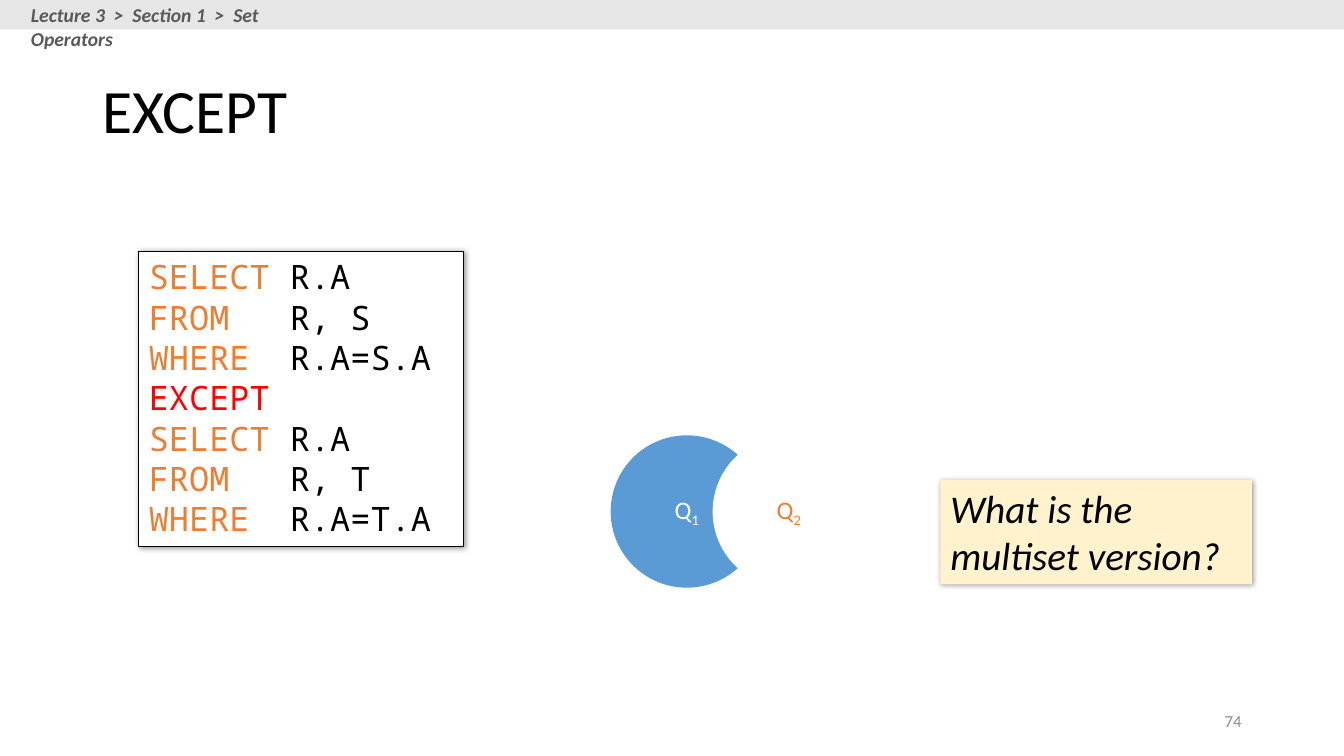
from lxml.etree import SubElement
from pptx import Presentation
from pptx.dml.color import RGBColor
from pptx.enum.shapes import MSO_SHAPE
from pptx.enum.text import MSO_ANCHOR, PP_ALIGN
from pptx.oxml.ns import qn
from pptx.util import Cm, Pt

# Content
HEADER = "Lecture 3  >  Section 1  >  Set Operators"
TITLE = "EXCEPT"
QUERY = [
    ("SELECT", " R.A"),
    ("FROM", "   R, S"),
    ("WHERE", "  R.A=S.A"),
    ("EXCEPT", ""),
    ("SELECT", " R.A"),
    ("FROM", "   R, T"),
    ("WHERE", "  R.A=T.A"),
]
SETS = [("1", "blue", "white"), ("2", "white", "orange")]
QUESTION = "What is the multiset version?"
PAGE = "74"

COLORS = {
    "black": "000000", "white": "FFFFFF", "orange": "ED7D31",
    "red": "FF0000", "blue": "5B9BD5", "cream": "FFF2CC",
    "band": "E7E6E6", "header": "595959", "page": "8C8C8C",
}
SANS, MONO = "Calibri", "Noto Sans Mono"

prs = Presentation()
prs.slide_width, prs.slide_height = Cm(33.87), Cm(19.05)
s = prs.slides.add_slide(prs.slide_layouts[6])


def rgb(name):
    return RGBColor.from_string(COLORS[name])


def add_run(p, text, size, color, font=SANS, bold=False, italic=False):
    r = p.add_run()
    r.text = text
    r.font.name, r.font.size = font, Pt(size)
    r.font.bold, r.font.italic = bold, italic
    r.font.color.rgb = rgb(color)
    return r


def set_frame(sp, anchor, align):
    tf = sp.text_frame
    tf.word_wrap = True
    tf.vertical_anchor = anchor
    tf.paragraphs[0].alignment = align
    return tf


def add_text(box, anchor=MSO_ANCHOR.TOP, align=PP_ALIGN.LEFT):
    sp = s.shapes.add_textbox(*map(Cm, box))
    return set_frame(sp, anchor, align)


def add_filled(kind, box, fill, line=None, anchor=MSO_ANCHOR.TOP,
               align=PP_ALIGN.LEFT, shadow=False):
    sp = s.shapes.add_shape(kind, *map(Cm, box))
    sp.fill.solid()
    sp.fill.fore_color.rgb = rgb(fill)
    if line:
        sp.line.color.rgb = rgb(line)
        sp.line.width = Pt(0.75)
    else:
        sp.line.fill.background()
    sp.shadow.inherit = False
    if shadow:
        effects = sp.element.spPr.find(qn("a:effectLst"))
        outer = SubElement(effects, qn("a:outerShdw"), blurRad=str(Pt(4)),
                           dist=str(Pt(1)), dir=str(45 * 60000),
                           algn="tl", rotWithShape="0")
        color = SubElement(outer, qn("a:srgbClr"), val=COLORS["black"])
        SubElement(color, qn("a:alpha"), val="40000")
    return set_frame(sp, anchor, align)


# Title and page number
p = add_text((2.33, 1.02, 29.21, 3.68), MSO_ANCHOR.MIDDLE).paragraphs[0]
p.line_spacing = 0.9
add_run(p, TITLE, 44, "black")
tf = add_text((23.92, 17.66, 7.62, 1.01), MSO_ANCHOR.MIDDLE, PP_ALIGN.RIGHT)
add_run(tf.paragraphs[0], PAGE, 12, "page")

# Query box
tf = add_filled(MSO_SHAPE.RECTANGLE, (3.5, 6.33, 8.18, 7.44), "white",
                line="black", shadow=True)
for i, (keyword, rest) in enumerate(QUERY):
    p = tf.add_paragraph() if i else tf.paragraphs[0]
    p.alignment = PP_ALIGN.LEFT
    add_run(p, keyword, 24, "red" if keyword == TITLE else "orange", MONO)
    if rest:
        add_run(p, rest, 24, "black", MONO)

# Header band
add_filled(MSO_SHAPE.RECTANGLE, (0, 0, 33.87, 0.74), "band")
tf = add_text((0.53, -0.05, 8.31, 0.86))
add_run(tf.paragraphs[0], HEADER, 14, "header", bold=True, italic=True)

# Set difference: the second circle covers part of the first
DIAMETER, STEP = 3.84, 2.57
for i, (index, fill, color) in enumerate(SETS):
    tf = add_filled(MSO_SHAPE.OVAL,
                    (15.39 + i * STEP, 10.97, DIAMETER, DIAMETER), fill,
                    anchor=MSO_ANCHOR.MIDDLE, align=PP_ALIGN.CENTER)
    p = tf.paragraphs[0]
    add_run(p, "Q", 18, color)
    r = add_run(p, index, 18, color)
    r.font._element.set("baseline", "-25000")

# Question
tf = add_filled(MSO_SHAPE.RECTANGLE, (23.7, 12.09, 7.85, 2.64), "cream",
                shadow=True)
add_run(tf.paragraphs[0], QUESTION, 28, "black", italic=True)

prs.save("out.pptx")
